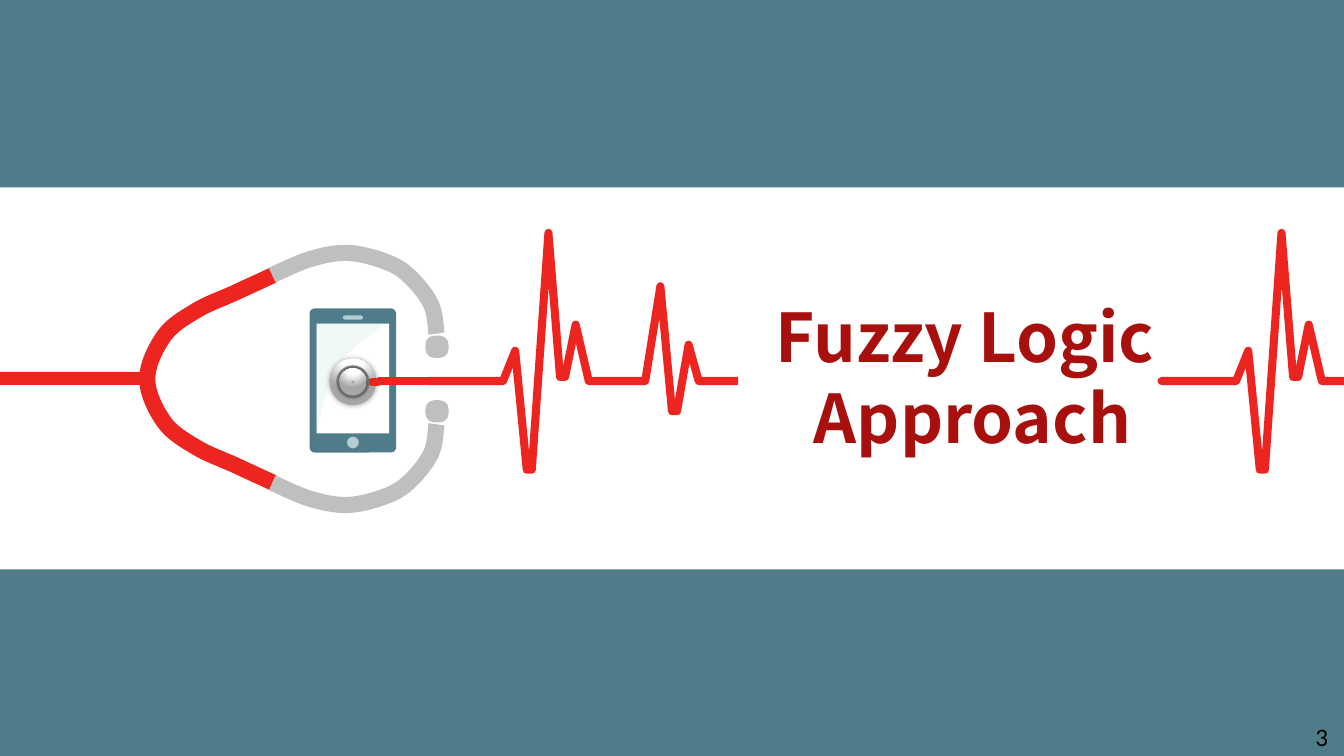
from dataclasses import dataclass

from pptx import Presentation
from pptx.dml.color import RGBColor
from pptx.enum.shapes import MSO_CONNECTOR, MSO_SHAPE
from pptx.enum.text import MSO_ANCHOR, MSO_AUTO_SIZE, PP_ALIGN
from pptx.oxml import parse_xml
from pptx.oxml.ns import nsdecls
from pptx.util import Inches, Pt

RECTANGLE = MSO_SHAPE.RECTANGLE
ROUNDED = MSO_SHAPE.ROUNDED_RECTANGLE
OVAL = MSO_SHAPE.OVAL
STRAIGHT = MSO_CONNECTOR.STRAIGHT
MIDDLE = MSO_ANCHOR.MIDDLE
TOP = MSO_ANCHOR.TOP
CENTER = PP_ALIGN.CENTER
NO_FIT = MSO_AUTO_SIZE.NONE


@dataclass(frozen=True)
class Theme:
    """Colours, fonts, type sizes and stroke widths of the deck."""
    teal: str = "507C89"
    pale_teal: str = "B5CDD4"
    mid_teal: str = "90B4BE"
    glare: str = "BCE7DC"
    red: str = "ED2521"
    title_red: str = "A7100D"
    tube_gray: str = "BFBFBF"
    ring_gray: str = "808080"
    metal: str = "A6A6A6"
    white: str = "FFFFFF"
    black: str = "000000"
    title_font: str = "Noto Sans CJK SC"
    number_font: str = "Calibri"
    title_size: int = 48
    title_leading: int = 58
    number_size: int = 18
    pulse_width: float = 0.08
    tube_width: float = 0.16


@dataclass(frozen=True)
class Wave:
    """One turn of the pulse: its place and its height above the baseline."""
    center: float
    height: float
    flat: float = 0


@dataclass(frozen=True)
class Beat:
    """A run of waves between two points on the baseline."""
    start: float
    end: float
    waves: tuple


THEME = Theme()
TROUGH_FLAT = 0.05
STRONG_BEAT = Beat(0.74, 1.59, (Wave(0.86, 0.3), Wave(1, -0.88, TROUGH_FLAT),
                                Wave(1.19, 1.47), Wave(1.33, 0.04, TROUGH_FLAT),
                                Wave(1.46, 0.56)))
WEAK_BEAT = Beat(2.15, 2.68, (Wave(2.3, 0.94), Wave(2.44, -0.3, TROUGH_FLAT),
                              Wave(2.58, 0.36)))
TUBE_HALF = [(1.46, 0), (1.63, 0.43), (1.95, 0.68), (2.32, 0.85), (2.71, 1.03)]
EAR_HALF = [(2.7, 1.03), (3.08, 1.19), (3.46, 1.25), (3.86, 1.15), (4.09, 0.99),
            (4.28, 0.73), (4.33, 0.45)]


def smooth(anchors, steps=8):
    """Return points on a Catmull-Rom curve through the anchors."""
    padded = [anchors[0], *anchors, anchors[-1]]
    points = [anchors[0]]
    for before, start, end, after in zip(padded, padded[1:], padded[2:], padded[3:]):
        for step in range(1, steps + 1):
            t = step / steps
            points.append(tuple(
                b + t / 2 * (c - a + t * (2 * a - 5 * b + 4 * c - d
                                          + t * (3 * b - a - 3 * c + d)))
                for a, b, c, d in zip(before, start, end, after)))
    return points


def mirror(points):
    """Reflect points across the horizontal axis."""
    return [(x, -y) for x, y in points]


def paint(shape, color):
    """Give a shape a flat fill without line or shadow."""
    shape.fill.solid()
    shape.fill.fore_color.rgb = RGBColor.from_string(color)
    shape.line.fill.background()
    shape.shadow.inherit = False
    return shape


def ink(shape, color, width, cap):
    """Give a line its colour and width, the cap and round joins."""
    shape.line.color.rgb = RGBColor.from_string(color)
    shape.line.width = Inches(width)
    outline = shape.element.spPr.find("{*}ln")
    outline.set("cap", cap)
    outline.append(parse_xml(f'<a:round {nsdecls("a")}/>'))


def add_preset(shapes, kind, box, color):
    """Add a flat preset shape in a box of left, top, width and height."""
    return paint(shapes.add_shape(kind, *map(Inches, box)), color)


def add_path(shapes, origin, points, close):
    """Add a freeform through points measured from the origin."""
    left, top = origin
    placed = [(Inches(left + x), Inches(top + y)) for x, y in points]
    builder = shapes.build_freeform(*placed[0], scale=1.0)
    builder.add_line_segments(placed[1:], close=close)
    return builder.convert_to_shape()


def add_stroke(shapes, origin, points, color, width, cap="flat"):
    """Add an open path drawn as a thick line."""
    path = add_path(shapes, origin, points, False)
    path.fill.background()
    path.shadow.inherit = False
    ink(path, color, width, cap)


def add_lead(shapes, left, top, width):
    """Add a straight red lead with round ends."""
    lead = shapes.add_connector(STRAIGHT, *map(Inches, (left, top, left + width, top)))
    ink(lead, THEME.red, THEME.pulse_width, "rnd")
    lead.element.spPr.append(parse_xml(f'<a:effectLst {nsdecls("a")}/>'))


def add_disc(shapes, center, size, color):
    """Add a circle around a centre."""
    x, y = center
    return add_preset(shapes, OVAL, (x - size / 2, y - size / 2, size, size), color)


def add_metal_disc(shapes, center, size):
    """Add a circle with a metallic gradient and a soft shadow."""
    properties = add_disc(shapes, center, size, THEME.metal).element.spPr
    stops = "".join(
        f'<a:gs pos="{place}"><a:srgbClr val="{color}"/></a:gs>' for place, color
        in ((0, THEME.white), (35000, THEME.white), (100000, THEME.metal)))
    gradient = parse_xml(
        f'<a:gradFill {nsdecls("a")}><a:gsLst>{stops}</a:gsLst><a:path path="circle">'
        '<a:fillToRect l="50000" t="-80000" r="50000" b="180000"/></a:path></a:gradFill>')
    properties.replace(properties.find("{*}solidFill"), gradient)
    properties.find("{*}effectLst").append(parse_xml(
        f'<a:outerShdw {nsdecls("a")} blurRad="{Pt(4)}" dist="0" dir="0">'
        f'<a:srgbClr val="{THEME.black}"><a:alpha val="40000"/></a:srgbClr></a:outerShdw>'))


def add_phone(page, left, top, width, height):
    """Draw a phone with screen, speaker, glare and button in its box."""
    shapes = page.shapes.add_group_shape().shapes
    side, bezel = 0.07, 0.15
    middle = left + width / 2
    screen_width, screen_height = width - 2 * side, 1.09
    frame = add_preset(shapes, ROUNDED, (left, top, width, height), THEME.teal)
    frame.adjustments[0] = 0.06
    add_preset(shapes, RECTANGLE, (left + side, top + bezel, screen_width, screen_height),
               THEME.white)
    speaker = add_preset(shapes, ROUNDED, (middle - 0.1, top + side, 0.2, 0.04),
                         THEME.pale_teal)
    speaker.adjustments[0] = 0.5
    glare_edge = smooth([(0, screen_height), (0.11, 0.65), (0.28, 0.33), (0.68, 0)])
    glare = paint(add_path(shapes, (left + side, top + bezel), [(0, 0), *glare_edge], True),
                  THEME.glare)
    glare.element.spPr.find("{*}solidFill")[0].append(
        parse_xml(f'<a:alpha {nsdecls("a")} val="22000"/>'))
    for size, color in ((0.12, THEME.mid_teal), (0.11, THEME.pale_teal)):
        add_disc(shapes, (middle, top + 1.33), size, color)


def add_stethoscope(page, left, axis):
    """Draw the stethoscope as two halves mirrored across its axis."""
    shapes = page.shapes.add_group_shape().shapes
    origin = (left, axis)
    tube = mirror(TUBE_HALF)[:0:-1] + TUBE_HALF
    add_stroke(shapes, origin, smooth(tube), THEME.red, THEME.tube_width)
    tip_width, tip_height, tip_offset = 0.23, 0.22, 0.32
    for side, half in ((-1, mirror(EAR_HALF)), (1, EAR_HALF)):
        add_stroke(shapes, origin, smooth(half), THEME.tube_gray, THEME.tube_width)
        tip_top = axis + side * tip_offset - tip_height / 2
        tip = add_preset(shapes, ROUNDED, (left + 4.22, tip_top, tip_width, tip_height),
                         THEME.tube_gray)
        tip.adjustments[0] = 0.4
    add_preset(shapes, RECTANGLE, (left, axis - 0.07, 1.43, 0.13), THEME.red)


def add_pulse(page, left, baseline, length, beats, cap):
    """Draw a pulse line with its beats along the baseline."""
    points = [(0, 0)]
    for beat in beats:
        points.append((beat.start, 0))
        for wave in beat.waves:
            points.append((wave.center - wave.flat / 2, -wave.height))
            if wave.flat:
                points.append((wave.center + wave.flat / 2, -wave.height))
        points.append((beat.end, 0))
    points.append((length, 0))
    add_stroke(page.shapes, (left, baseline), points, THEME.red, THEME.pulse_width, cap)


def add_chest_piece(page, x, y):
    """Draw the metal chest piece as circles around one centre."""
    shapes = page.shapes.add_group_shape().shapes
    add_metal_disc(shapes, (x, y), 0.46)
    add_lead(shapes, x + 0.19, y, 0.06)
    add_disc(shapes, (x, y), 0.33, THEME.ring_gray)
    add_metal_disc(shapes, (x, y), 0.27)
    add_disc(shapes, (x, y), 0.03, THEME.metal)


def write(shape, box, text, font, size, color, anchor):
    """Place a text shape and format its centred text."""
    shape.left, shape.top, shape.width, shape.height = map(Inches, box)
    frame = shape.text_frame
    frame.text = text
    frame.auto_size = NO_FIT
    frame.vertical_anchor = anchor
    for para in frame.paragraphs:
        para.alignment = CENTER
        for span in para.runs:
            span.font.name = font
            span.font.size = Pt(size)
            span.font.color.rgb = RGBColor.from_string(color)
    return frame


def add_title(page, box):
    """Format the title placeholder in two bold lines."""
    frame = write(page.shapes.title, box, "Fuzzy Logic \nApproach", THEME.title_font,
                  THEME.title_size, THEME.title_red, TOP)
    frame.word_wrap = False
    for para in frame.paragraphs:
        para.line_spacing = Pt(THEME.title_leading)
        para.runs[0].font.bold = True


def add_page_number(page, box):
    """Write the page number."""
    frame = write(page.shapes.add_textbox(0, 0, 0, 0), box, "3", THEME.number_font,
                  THEME.number_size, THEME.black, MIDDLE)
    frame.word_wrap = True


def main():
    """Build and save the section slide."""
    deck = Presentation()
    deck.slide_width, deck.slide_height = Inches(13.33), Inches(7.5)
    page = deck.slides.add_slide(deck.slide_layouts[5])
    baseline = 3.78
    for top in (0, 5.65):
        add_preset(page.shapes, RECTANGLE, (0, top, 13.33, 1.86), THEME.teal)
    add_phone(page, 3.07, 3.06, 0.86, 1.43)
    add_lead(page.shapes, 3.76, baseline, 0.56)
    add_stethoscope(page, 0, 3.76)
    add_pulse(page, 4.25, baseline, 3.07, (STRONG_BEAT, WEAK_BEAT), "flat")
    add_pulse(page, 11.52, baseline, 1.81, (STRONG_BEAT,), "rnd")
    add_chest_piece(page, 3.5, 3.79)
    add_title(page, (7.34, 2.87, 4.61, 1.72))
    add_page_number(page, (12.92, 7.15, 0.38, 0.32))
    deck.save("out.pptx")


if __name__ == "__main__":
    main()
